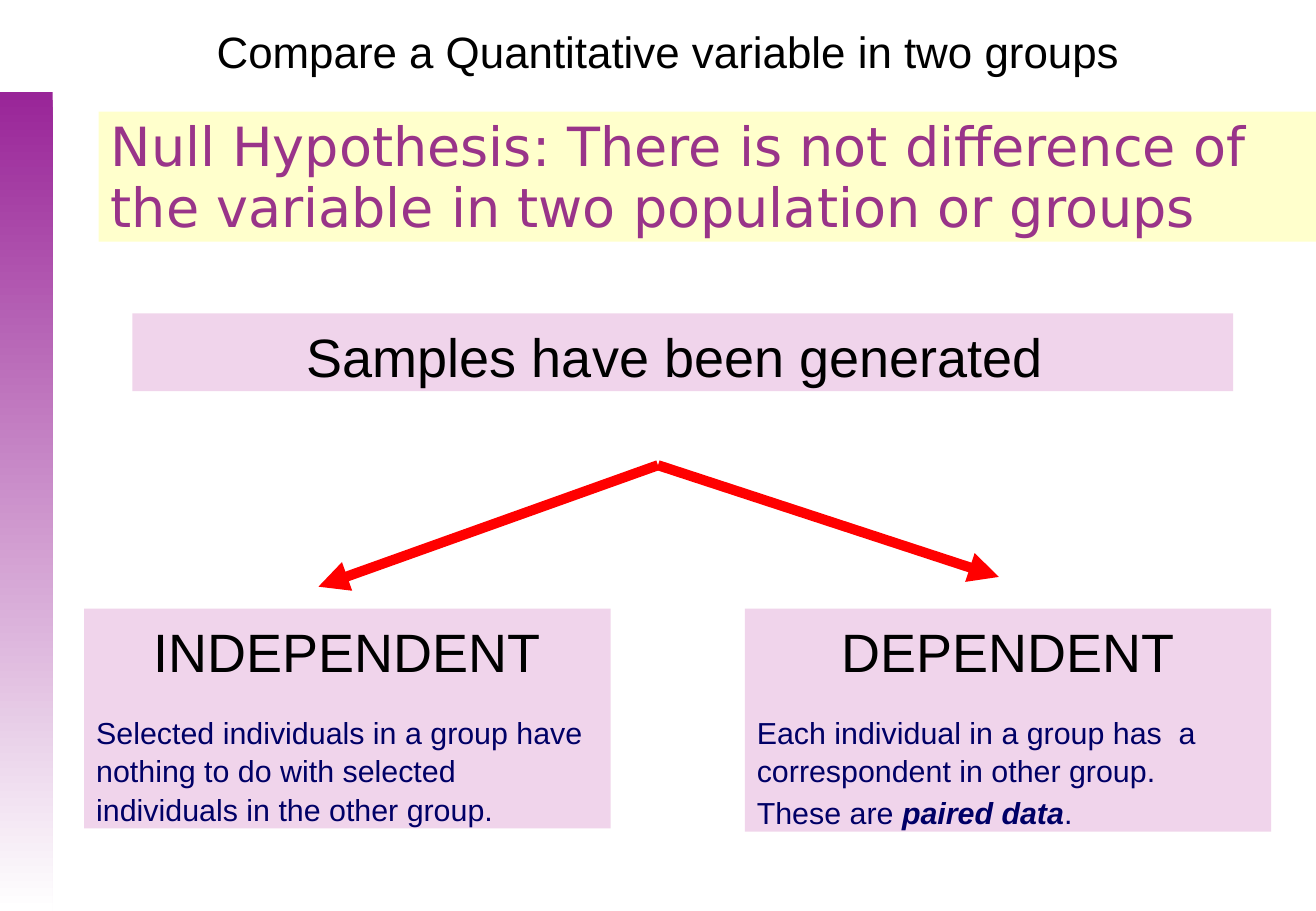
"""Builds the slide that contrasts independent and dependent samples."""
from dataclasses import dataclass

from lxml import etree
from pptx import Presentation
from pptx.dml.color import RGBColor
from pptx.enum.shapes import MSO_CONNECTOR, MSO_SHAPE
from pptx.enum.text import MSO_ANCHOR, PP_ALIGN
from pptx.oxml.ns import qn
from pptx.util import Inches, Pt

RECTANGLE = MSO_SHAPE.RECTANGLE
STRAIGHT = MSO_CONNECTOR.STRAIGHT
TOP = MSO_ANCHOR.TOP
LEFT, CENTER = PP_ALIGN.LEFT, PP_ALIGN.CENTER


@dataclass(frozen=True)
class Theme:
    white: str = "FFFFFF"
    black: str = "000000"
    purple: str = "992598"
    plum: str = "993489"
    cream: str = "FFFFCC"
    pink: str = "F0D4EB"
    navy: str = "000066"
    red: str = "FF0000"
    body_font: str = "Arial"
    hypothesis_font: str = "DejaVu Sans"
    title_size: int = 26
    heading_size: int = 32
    body_size: int = 18
    arrow_width: int = 6
    leading: float = 1.06
    tight_leading: float = 0.94
    heading_gap: int = 17
    paragraph_gap: int = 2


class SlideBuilder:
    """Places elements on one slide, with lengths in percent of its size."""

    def __init__(self, presentation, theme):
        self.theme = theme
        self.width = presentation.slide_width
        self.height = presentation.slide_height
        self.slide = presentation.slides.add_slide(presentation.slide_layouts[6])

    def place(self, x, y):
        return round(self.width * x / 100), round(self.height * y / 100)

    def panel(self, x, y, width, height, color):
        panel = self.slide.shapes.add_shape(
            RECTANGLE, *self.place(x, y), *self.place(width, height))
        panel.shadow.inherit = False
        panel.line.fill.background()
        panel.fill.solid()
        panel.fill.fore_color.rgb = RGBColor.from_string(color)
        panel.text_frame.word_wrap = True
        panel.text_frame.vertical_anchor = TOP
        return panel

    def fading_bar(self, x, y, width, height):
        bar = self.panel(x, y, width, height, self.theme.purple)
        bar.fill.gradient()
        bar.fill.gradient_angle = 270
        colors = (self.theme.purple, self.theme.white)
        for position, (stop, color) in enumerate(zip(bar.fill.gradient_stops, colors)):
            stop.position = position
            stop.color.rgb = RGBColor.from_string(color)

    def set_text(self, paragraph, text, size, color, align=CENTER, font=None,
                 leading=None, gap=0):
        paragraph.text = text
        paragraph.alignment = align
        paragraph.line_spacing = leading or self.theme.leading
        paragraph.space_before = Pt(gap)
        paragraph.font.name = font or self.theme.body_font
        paragraph.font.size = Pt(size)
        paragraph.font.color.rgb = RGBColor.from_string(color)

    def banner(self, x, y, width, height, fill, text, size, color, **style):
        frame = self.panel(x, y, width, height, fill).text_frame
        self.set_text(frame.paragraphs[0], text, size, color, **style)
        return frame

    def sample_card(self, x, y, width, height, heading, explanations):
        theme = self.theme
        frame = self.banner(x, y, width, height, theme.pink, heading,
                            theme.heading_size, theme.black)
        gap = theme.heading_gap
        for plain, emphasis, ending in explanations:
            explanation = frame.add_paragraph()
            self.set_text(explanation, plain, theme.body_size, theme.navy, LEFT, gap=gap)
            if emphasis:
                key_term = explanation.add_run()
                key_term.text = emphasis
                key_term.font.bold = key_term.font.italic = True
                explanation.add_run().text = ending
            gap = theme.paragraph_gap

    def arrow(self, start, end):
        arrow = self.slide.shapes.add_connector(
            STRAIGHT, *self.place(*start), *self.place(*end))
        arrow.line.color.rgb = RGBColor.from_string(self.theme.red)
        arrow.line.width = Pt(self.theme.arrow_width)
        properties = arrow.element.spPr
        etree.SubElement(properties.find(qn("a:ln")), qn("a:tailEnd"), type="triangle")
        etree.SubElement(properties, qn("a:effectLst"))


def main():
    theme = Theme()
    presentation = Presentation()
    presentation.slide_width = Inches(10.83)
    presentation.slide_height = Inches(7.5)
    page = SlideBuilder(presentation, theme)

    page.fading_bar(0, 10.13, 4, 89.87)
    page.banner(4.9, 1.73, 91.8, 10.53, theme.white,
                "Compare a Quantitative variable in two groups",
                theme.title_size, theme.black)
    page.banner(10.05, 34.4, 83.65, 8.53, theme.pink,
                "Samples have been generated ",
                theme.heading_size, theme.black)

    fork = (50, 51.07)
    for tip in ((24.2, 64.4), (75.9, 63.33)):
        page.arrow(fork, tip)

    page.banner(7.5, 12.27, 92.5, 14.27, theme.cream,
                "Null Hypothesis: There is not difference of the variable "
                "in two population or groups",
                theme.heading_size, theme.plum, align=LEFT,
                font=theme.hypothesis_font, leading=theme.tight_leading)

    cards = (
        (6.4, 24.13, "INDEPENDENT", (
            ("Selected individuals in a group have nothing to do with "
             "selected individuals in the other group.", "", ""),)),
        (56.6, 24.5, "DEPENDENT", (
            ("Each individual in a group has  a correspondent in other group.", "", ""),
            ("These are ", "paired data", "."))),
    )
    for x, height, heading, explanations in cards:
        page.sample_card(x, 66.8, 40, height, heading, explanations)

    presentation.save("out.pptx")


if __name__ == "__main__":
    main()
